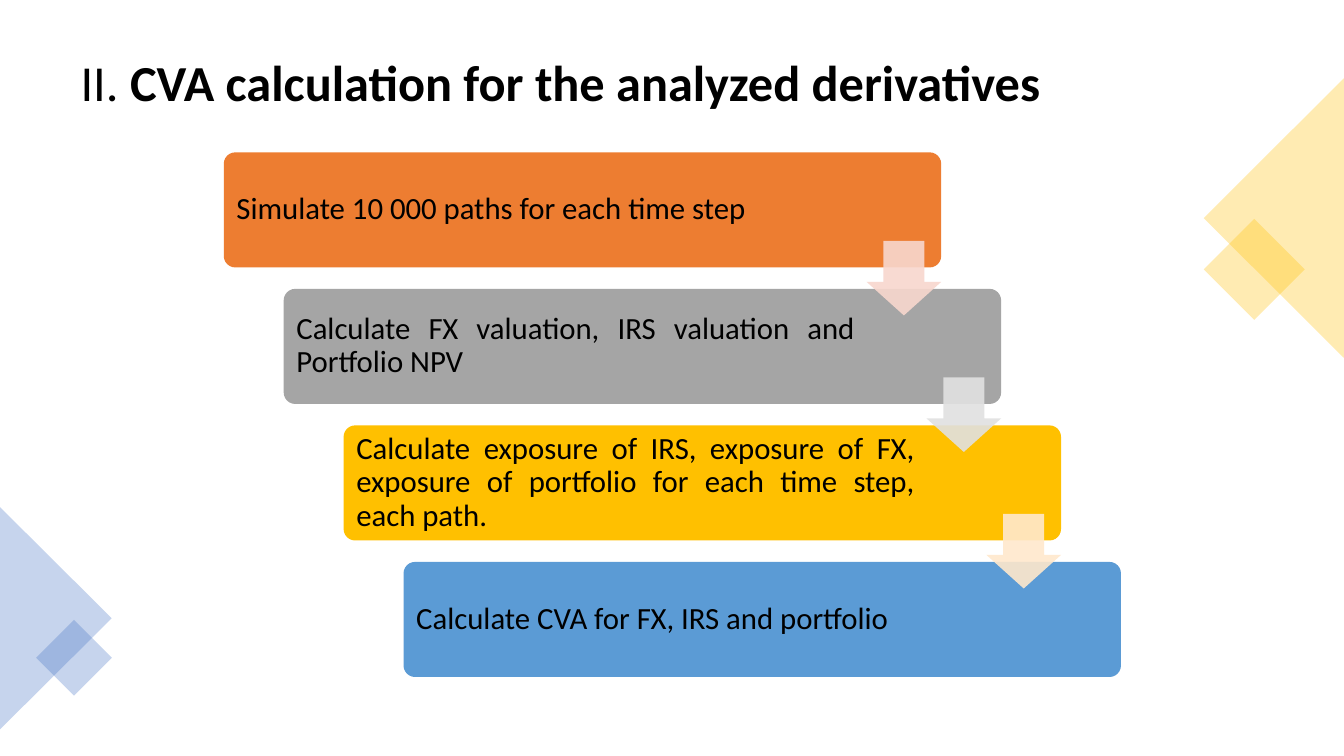
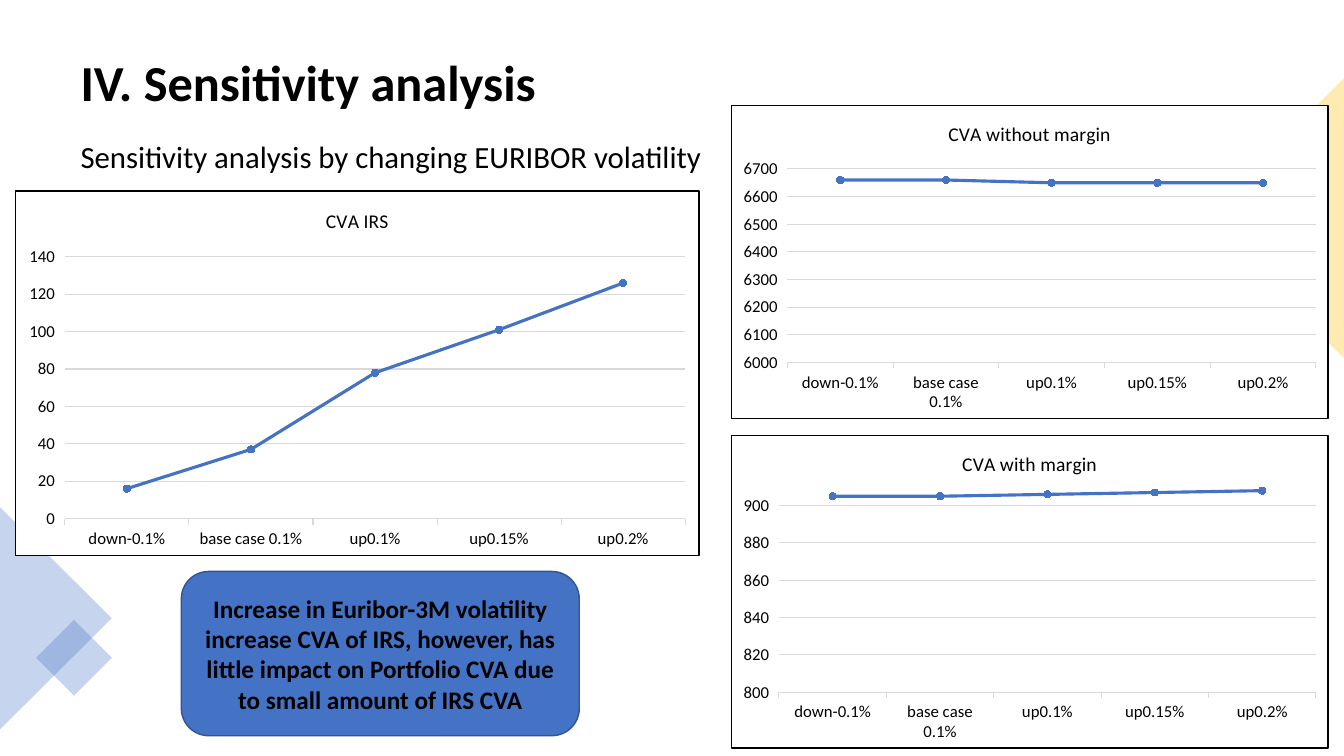
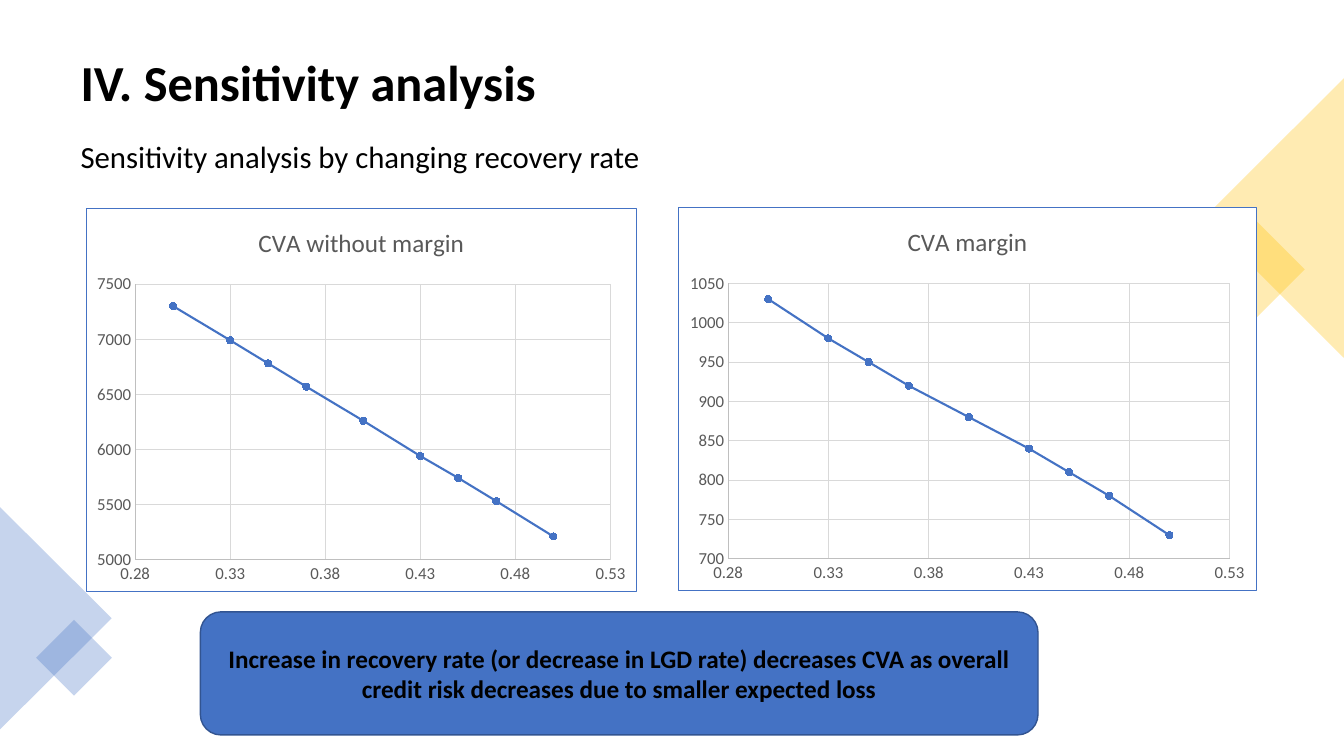
from dataclasses import dataclass
from typing import Optional, Sequence

from lxml import etree
from pptx import Presentation
from pptx import util as u
from pptx.chart import data as chart_data
from pptx.dml.color import RGBColor
from pptx.enum import chart as chart_enum, shapes, text
from pptx.oxml import parse_xml
from pptx.oxml.ns import nsdecls, qn

# Shared look
FONT = "Calibri"
COLORS = {
    "black": "000000", "white": "FFFFFF", "blue": "4472C4", "navy": "325491",
    "gold": "FFC000", "orange": "ED7D31", "gray": "A5A5A5", "sky": "5B9BD5",
    "blush": "F8D7CE", "silver": "E1E1E1", "cream": "FFE8CC",
    "grid": "D9D9D9", "axis": "BFBFBF", "label": "595959",
}
SHAPE = shapes.MSO_SHAPE
ALIGN = text.PP_ALIGN
TYPE = chart_enum.XL_CHART_TYPE
TICK = chart_enum.XL_TICK_MARK


@dataclass(frozen=True)
class Box:
    left: float
    top: float
    width: float
    height: float

    def emu(self) -> tuple:
        return tuple(u.Cm(v) for v in (self.left, self.top, self.width, self.height))

    def shifted(self, right: float, down: float) -> "Box":
        return Box(self.left + right, self.top + down, self.width, self.height)


@dataclass(frozen=True)
class Run:
    words: str
    size: float
    bold: bool = False


@dataclass(frozen=True)
class Ornament:
    kind: int
    box: Box
    rotation: float
    color: str


@dataclass(frozen=True)
class Step:
    words: str
    color: str
    arrow_color: Optional[str] = None


@dataclass(frozen=True)
class Scale:
    low: float
    high: float
    unit: float


@dataclass(frozen=True)
class ChartStyle:
    kind: int
    title_size: float
    text_color: str
    border: str
    border_width: float
    line_width: float
    tick: int
    axis_color: str
    value_axis_color: Optional[str]


@dataclass(frozen=True)
class Graph:
    title: str
    box: Box
    values: Sequence[float]
    scale: Scale


ORNAMENTS = (
    Ornament(SHAPE.RECTANGLE, Box(30.71, 5.89, 1.8, 1.8), 45, "gold"),
    Ornament(SHAPE.ISOSCELES_TRIANGLE, Box(28.58, 3.73, 7.04, 3.53), 270, "gold"),
    Ornament(SHAPE.ISOSCELES_TRIANGLE, Box(-1.4, 14.17, 5.61, 2.82), 90, "blue"),
    Ornament(SHAPE.RECTANGLE, Box(1.19, 15.9, 1.35, 1.35), 45, "blue"),
)
TITLE_BOX = Box(1.78, 0.89, 30.3, 2.54)
BODY_BOX = Box(1.78, 3.45, 30.3, 14.91)

# Slide content
STEPS = (
    Step("Simulate 10 000 paths for each time step", "orange", "blush"),
    Step("Calculate FX valuation, IRS valuation and Portfolio NPV", "gray", "silver"),
    Step("Calculate exposure of IRS, exposure of FX, exposure of portfolio "
         "for each time step, each path.", "gold", "cream"),
    Step("Calculate CVA for FX, IRS and portfolio", "sky"),
)
STEP_RIGHT, STEP_DOWN = 1.51, 3.44
BAR = Box(5.64, 3.84, 18.08, 2.9)
BAR_TEXT = Box(5.73, 3.92, 14.53, 2.74)
ARROW = Box(21.84, 6.07, 1.88, 1.88)

VOLATILITIES = ("down-0.1%", "base case 0.1%", "up0.1%", "up0.15%", "up0.2%")
VOLATILITY_STYLE = ChartStyle(TYPE.LINE_MARKERS, 14, "black", "black", 1, 2.25,
                              TICK.OUTSIDE, "grid", None)
VOLATILITY_GRAPHS = (
    Graph("CVA IRS", Box(0.38, 4.8, 17.25, 9.22),
          (16, 37, 78, 101, 126), Scale(0, 140, 20)),
    Graph("CVA without margin", Box(18.42, 2.64, 15.06, 7.92),
          (6660, 6660, 6650, 6650, 6650), Scale(6000, 6700, 100)),
    Graph("CVA with margin", Box(18.42, 10.95, 15.06, 7.92),
          (905, 905, 906, 907, 908), Scale(800, 909, 20)),
)
RATES = (0.3, 0.33, 0.35, 0.37, 0.4, 0.43, 0.45, 0.47, 0.5)
RATE_SCALE = Scale(0.28, 0.53, 0.05)
RECOVERY_STYLE = ChartStyle(TYPE.XY_SCATTER_SMOOTH, 18, "label", "blue", 0.75, 1.5,
                            TICK.NONE, "axis", "axis")
RECOVERY_GRAPHS = (
    Graph("CVA without margin", Box(2.16, 5.23, 13.89, 9.68),
          (7300, 6990, 6780, 6570, 6260, 5940, 5740, 5530, 5210),
          Scale(5000, 7500, 500)),
    Graph("CVA margin", Box(17.09, 5.21, 14.58, 9.68),
          (1030, 980, 950, 920, 880, 840, 810, 780, 730), Scale(700, 1050, 50)),
)


def rgb(name: str) -> RGBColor:
    return RGBColor.from_string(COLORS[name])


def set_font(font, size: float, color: str = "black", bold: bool = False) -> None:
    font.name, font.size, font.bold = FONT, u.Pt(size), bold
    font.color.rgb = rgb(color)


def set_line(line, color: Optional[str], width: float = 0.75) -> None:
    if color is None:
        line.fill.background()
    else:
        line.color.rgb = rgb(color)
        line.width = u.Pt(width)


# Shapes and text
def add_figure(slide, kind: int, box: Box, color: str, opacity: int = 100,
               outline: Optional[str] = None, adjustments: Sequence[float] = ()):
    shape = slide.shapes.add_shape(kind, *box.emu())
    shape.shadow.inherit = False
    shape.fill.solid()
    shape.fill.fore_color.rgb = rgb(color)
    if opacity < 100:
        fill_color = shape.fill._xPr.find(qn("a:solidFill"))[0]
        etree.SubElement(fill_color, qn("a:alpha")).set("val", str(opacity * 1000))
    set_line(shape.line, outline, 1)
    for index, value in enumerate(adjustments):
        shape.adjustments[index] = value
    return shape


def write(shape, runs: Sequence[Run], align=ALIGN.LEFT, anchor=text.MSO_ANCHOR.MIDDLE,
          spacing: float = 1.0, before: float = 0) -> None:
    frame = shape.text_frame
    frame.word_wrap = True
    frame.vertical_anchor = anchor
    paragraph = frame.paragraphs[0]
    paragraph.alignment = align
    paragraph.line_spacing = spacing
    paragraph.space_before = u.Pt(before)
    for item in runs:
        run = paragraph.add_run()
        run.text = item.words
        set_font(run.font, item.size, bold=item.bold)


def add_text(slide, box: Box, runs: Sequence[Run], **layout):
    shape = slide.shapes.add_textbox(*box.emu())
    write(shape, runs, spacing=0.9, **layout)
    return shape


def add_callout(slide, box: Box, words: str) -> None:
    shape = add_figure(slide, SHAPE.ROUNDED_RECTANGLE, box, "blue", outline="navy")
    write(shape, [Run(words, 18, True)], align=ALIGN.CENTER)


def add_base(presentation, title: Sequence[Run], subtitle: Optional[str] = None):
    slide = presentation.slides.add_slide(presentation.slide_layouts[6])
    add_text(slide, TITLE_BOX, title)
    if subtitle:
        add_text(slide, BODY_BOX, [Run(subtitle, 22)], align=ALIGN.JUSTIFY,
                 anchor=text.MSO_ANCHOR.TOP, before=10)
    for item in ORNAMENTS:
        shape = add_figure(slide, item.kind, item.box, item.color, opacity=30)
        shape.rotation = item.rotation
    return slide


# Charts
def style_axis(axis, style: ChartStyle, color: Optional[str], grid: bool,
               scale: Optional[Scale]) -> None:
    set_font(axis.tick_labels.font, 12, style.text_color)
    set_line(axis.format.line, color)
    axis.major_tick_mark, axis.minor_tick_mark = style.tick, TICK.NONE
    axis.has_major_gridlines = grid
    if grid:
        set_line(axis.major_gridlines.format.line, "grid")
    if scale:
        axis.minimum_scale, axis.maximum_scale = scale.low, scale.high
        axis.major_unit = scale.unit


def frame_chart(chart, style: ChartStyle) -> None:
    area = parse_xml(
        f'<c:spPr {nsdecls("c", "a")}>'
        f'<a:solidFill><a:srgbClr val="{COLORS["white"]}"/></a:solidFill>'
        f'<a:ln w="{u.Pt(style.border_width)}"><a:solidFill>'
        f'<a:srgbClr val="{COLORS[style.border]}"/></a:solidFill></a:ln></c:spPr>')
    chart._chartSpace.find(qn("c:chart")).addnext(area)


def add_graph(slide, graph: Graph, style: ChartStyle) -> None:
    scatter = style.kind == TYPE.XY_SCATTER_SMOOTH
    if scatter:
        data = chart_data.XyChartData()
        points = data.add_series(graph.title)
        for rate, value in zip(RATES, graph.values):
            points.add_data_point(rate, value)
    else:
        data = chart_data.CategoryChartData()
        data.categories = VOLATILITIES
        data.add_series(graph.title, graph.values)
    chart = slide.shapes.add_chart(style.kind, *graph.box.emu(), data).chart
    set_font(chart.font, 10)
    frame_chart(chart, style)
    chart.has_legend = False
    chart.has_title = True
    title = chart.chart_title.text_frame.paragraphs[0].add_run()
    title.text = graph.title
    set_font(title.font, style.title_size, style.text_color)
    style_axis(chart.category_axis, style, style.axis_color, scatter,
               RATE_SCALE if scatter else None)
    style_axis(chart.value_axis, style, style.value_axis_color, True, graph.scale)

    plot = chart.plots[0]
    plot.vary_by_categories = False
    series = plot.series[0]
    if not scatter:
        series.smooth = False
    set_line(series.format.line, "blue", style.line_width)
    series.marker.style = chart_enum.XL_MARKER_STYLE.CIRCLE
    series.marker.size = 5
    series.marker.format.fill.solid()
    series.marker.format.fill.fore_color.rgb = rgb("blue")
    set_line(series.marker.format.line, "blue")


# Slides
def build_calculation(presentation) -> None:
    slide = add_base(presentation, [
        Run("II. ", 36), Run("CVA calculation for the analyzed derivatives", 36, True)])
    offsets = [(i * STEP_RIGHT, i * STEP_DOWN) for i in range(len(STEPS))]
    for step, offset in zip(STEPS, offsets):
        add_figure(slide, SHAPE.ROUNDED_RECTANGLE, BAR.shifted(*offset), step.color,
                   adjustments=[0.1])
        label = add_text(slide, BAR_TEXT.shifted(*offset), [Run(step.words, 22)],
                         align=ALIGN.JUSTIFY)
        frame = label.text_frame
        frame.margin_left = frame.margin_right = u.Cm(0.23)
        frame.margin_top = frame.margin_bottom = u.Cm(0.23)
    for step, offset in zip(STEPS, offsets):
        if step.arrow_color:
            add_figure(slide, SHAPE.DOWN_ARROW, ARROW.shifted(*offset), step.arrow_color,
                       opacity=90, adjustments=[0.55, 0.45])


def build_sensitivity(presentation, subtitle: str, graphs: Sequence[Graph],
                      style: ChartStyle, callout_box: Box, callout: str) -> None:
    slide = add_base(presentation, [Run("IV. Sensitivity analysis", 36, True)], subtitle)
    for graph in graphs:
        add_graph(slide, graph, style)
    add_callout(slide, callout_box, callout)


def main() -> None:
    presentation = Presentation()
    presentation.slide_width, presentation.slide_height = u.Cm(33.87), u.Cm(19.05)
    build_calculation(presentation)
    build_sensitivity(
        presentation, "Sensitivity analysis by changing EURIBOR volatility",
        VOLATILITY_GRAPHS, VOLATILITY_STYLE, Box(4.57, 14.4, 10.03, 4.14),
        "Increase in Euribor-3M volatility increase CVA of IRS, however, has little "
        "impact on Portfolio CVA due to small amount of IRS CVA")
    build_sensitivity(
        presentation, "Sensitivity analysis by changing recovery rate",
        RECOVERY_GRAPHS, RECOVERY_STYLE, Box(5.05, 15.42, 21.11, 3.1),
        "Increase in recovery rate (or decrease in LGD rate) decreases CVA as overall "
        "credit risk decreases due to smaller expected loss")
    presentation.save("out.pptx")


if __name__ == "__main__":
    main()
